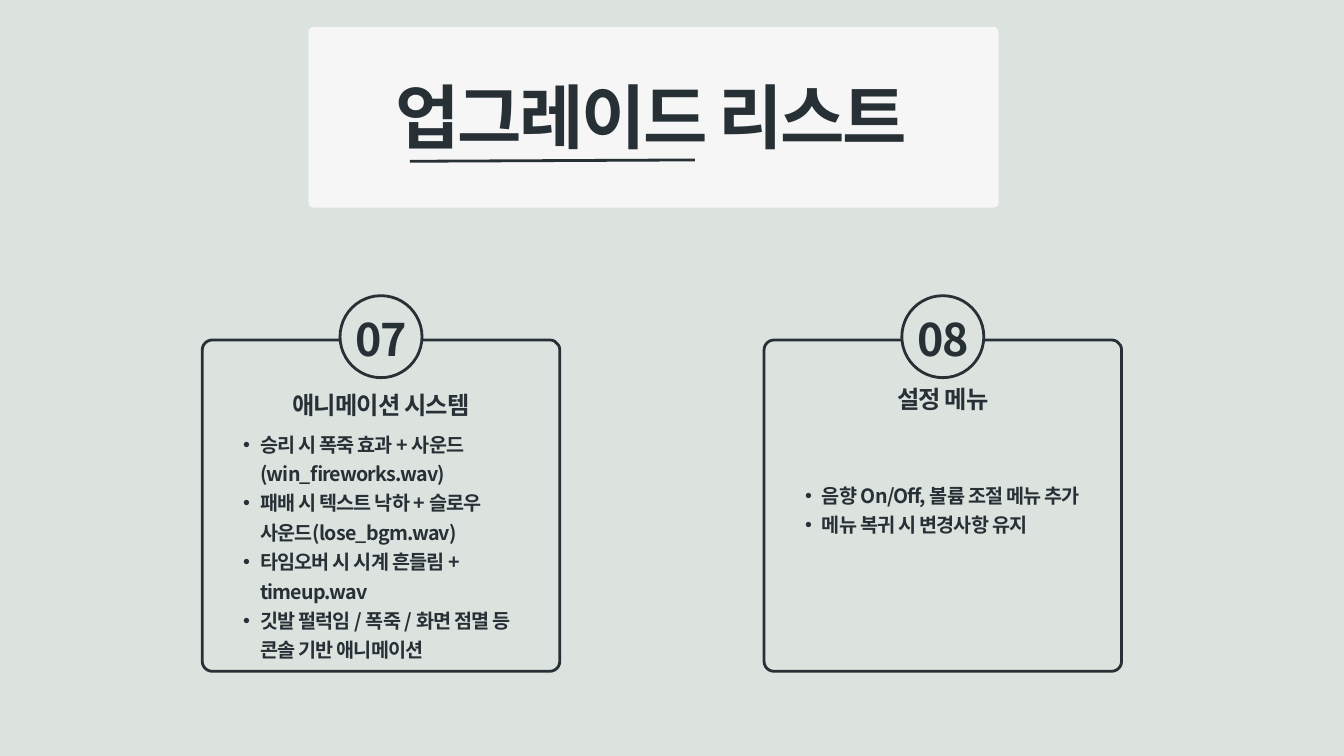
"""Build the upgrade list slide with its two numbered cards."""
from lxml import etree
from pptx import Presentation, util as u
from pptx.dml.color import RGBColor
from pptx.enum import shapes, text
from pptx.oxml import ns

PX = 9144
INK = RGBColor(0x26, 0x30, 0x35)
SAGE = RGBColor(0xDC, 0xE2, 0xDE)
PALE = RGBColor(0xF6, 0xF6, 0xF6)
FONT = "Noto Sans CJK KR"
KIND = shapes.MSO_SHAPE
ALIGN = text.PP_ALIGN
CARDS = [
    (301, "07", "애니메이션 시스템", 570, 635, 384, [
        "승리 시 폭죽 효과 + 사운드(win_fireworks.wav)",
        "패배 시 텍스트 낙하 + 슬로우 사운드(lose_bgm.wav)",
        "타임오버 시 시계 흔들림 + timeup.wav",
        "깃발 펄럭임 / 폭죽 / 화면 점멸 등 콘솔 기반 애니메이션",
    ]),
    (1137, "08", "설정 메뉴", 561, 711, 131, [
        "음향 On/Off, 볼륨 조절 메뉴 추가",
        "메뉴 복귀 시 변경사항 유지",
    ]),
]

deck = Presentation()
deck.slide_width, deck.slide_height = 2000 * PX, 1125 * PX
slide = deck.slides.add_slide(deck.slide_layouts[6])
slide.background.fill.solid()
slide.background.fill.fore_color.rgb = SAGE


def draw(kind, box, fill=None, line=None, round_by=None):
    shape = slide.shapes.add_shape(kind, *[n * PX for n in box])
    shape.shadow.inherit = False
    if round_by:
        shape.adjustments[0] = round_by
    if fill:
        shape.fill.solid()
        shape.fill.fore_color.rgb = fill
    else:
        shape.fill.background()
    if line:
        shape.line.color.rgb = line
        shape.line.width = u.Pt(3)
    else:
        shape.line.fill.background()


def write(box, lines, size, lead, track, align=ALIGN.CENTER, dots=False):
    frame = slide.shapes.add_textbox(*[n * PX for n in box]).text_frame
    frame.word_wrap = True
    frame.margin_left = frame.margin_top = 0
    frame.margin_right = frame.margin_bottom = 0
    frame.text = "\n".join(lines)
    for para in frame.paragraphs:
        para.alignment = align
        para.line_spacing = u.Pt(lead)
        para.font.name = FONT
        para.font.size = u.Pt(size)
        para.font.bold = True
        para.font.color.rgb = INK
        props = para._p.get_or_add_pPr()
        base = props.find(ns.qn("a:defRPr"))
        base.set("spc", str(track))
        etree.SubElement(base, ns.qn("a:ea"), typeface=FONT)
        if dots:
            para.level = 1
            props.set("marL", str(50 * PX))
            props.set("indent", str(-25 * PX))
            mark = etree.Element(ns.qn("a:buFont"), typeface="Arial")
            base.addprevious(mark)
            base.addprevious(etree.Element(ns.qn("a:buChar"), char="•"))


draw(KIND.ROUNDED_RECTANGLE, (459, 40, 1027, 269), fill=PALE, round_by=0.03)
write((589, 110, 1095, 252), ["업그레이드 리스트"], 75, 89.2, -270, ALIGN.LEFT)
rule = slide.shapes.add_connector(
    shapes.MSO_CONNECTOR.STRAIGHT, 1034 * PX, 238 * PX, 610 * PX, 240 * PX)
rule.line.color.rgb = INK
rule.line.width = u.Pt(3)
etree.SubElement(rule._element.spPr, ns.qn("a:effectLst"))

for left, num, head, head_top, list_top, list_high, items in CARDS:
    draw(KIND.ROUNDED_RECTANGLE, (left, 506, 532, 493), line=INK, round_by=0.03)
    draw(KIND.OVAL, (left + 205, 440, 122, 122), fill=SAGE, line=INK)
    write((left, 464, 532, 82), [num], 48, 57.1, -170)
    write((left + 12, head_top, 508, 54), [head], 26, 39, -90)
    write((left + 36, list_top, 460, list_high), items, 21, 31.5, -80,
          ALIGN.LEFT, dots=True)

deck.save("out.pptx")
